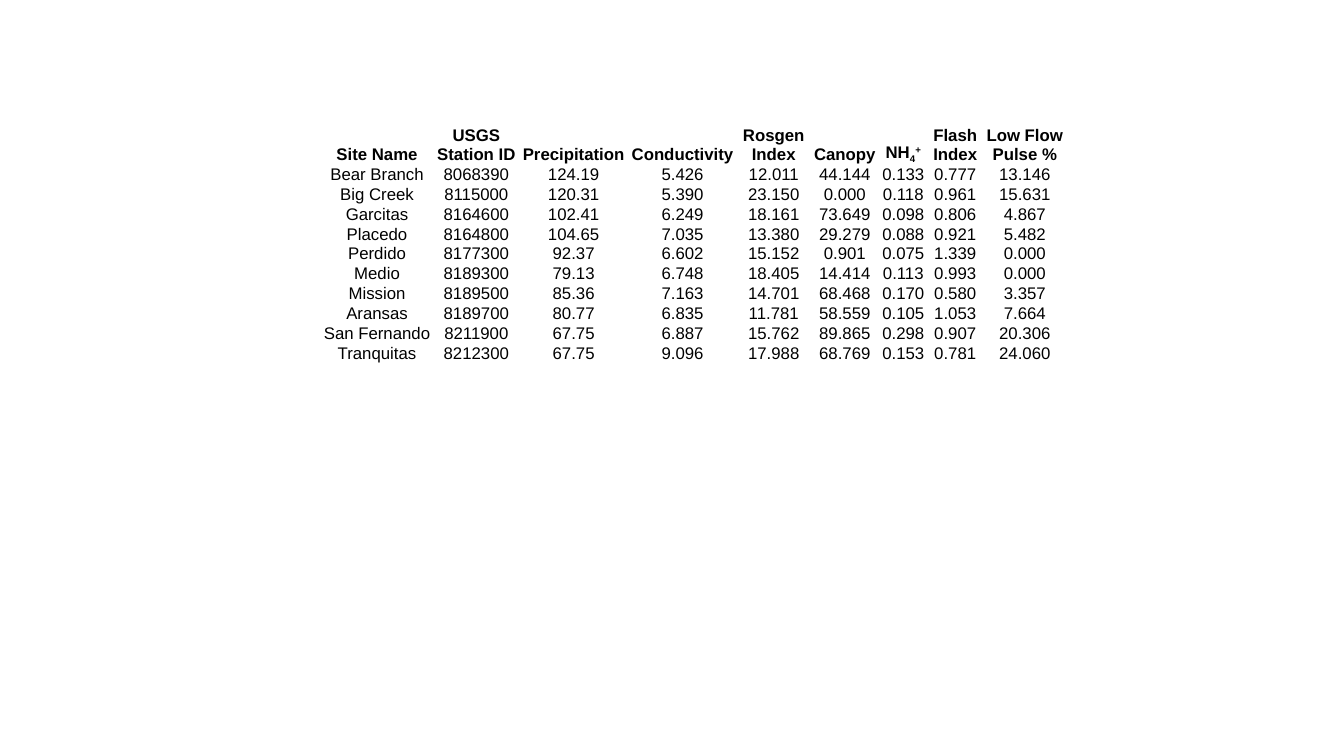
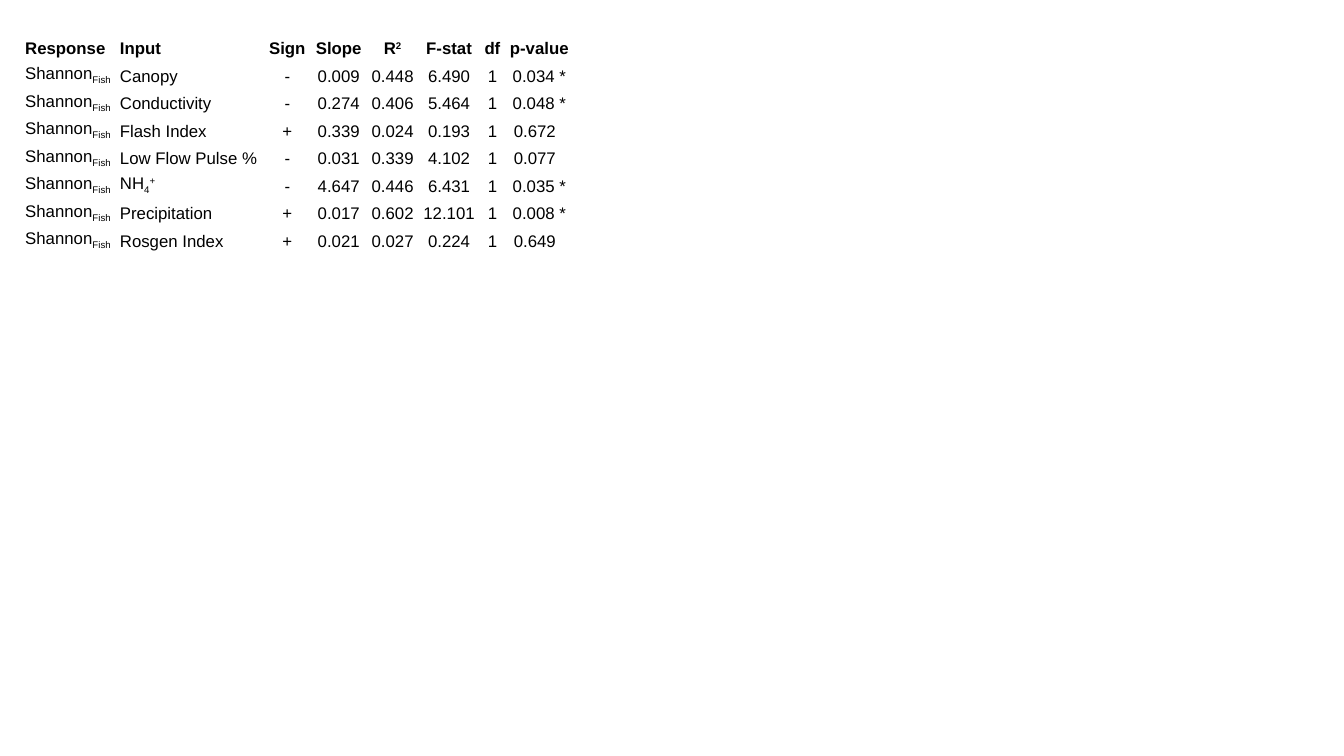
import pptx
import pptx.dml.color
import pptx.enum.text
import pptx.util

Inches = pptx.util.Inches
ALIGN = pptx.enum.text.PP_ALIGN

THEME = {
    "font": {"name": "Arial", "size": pptx.util.Pt(12)},
    "ink": pptx.dml.color.RGBColor(0, 0, 0),
    "cell": {
        "margin_left": Inches(0.01),
        "margin_right": Inches(0.01),
        "margin_top": Inches(0.01),
        "margin_bottom": 0,
        "vertical_anchor": pptx.enum.text.MSO_ANCHOR.BOTTOM,
    },
    "plain": "{2D5ABB26-0587-4C30-8999-92F81FD0307C}",
    "base": {"_": "-25000", "^": "30000"},
}

SITES = [
    ["Site Name", "USGS\nStation ID", "Precipitation", "Conductivity",
     "Rosgen\nIndex", "Canopy", "NH|_4|^+", "Flash\nIndex", "Low Flow\nPulse %"],
    ["Bear Branch", "8068390", "124.19", "5.426", "12.011", "44.144", "0.133", "0.777", "13.146"],
    ["Big Creek", "8115000", "120.31", "5.390", "23.150", "0.000", "0.118", "0.961", "15.631"],
    ["Garcitas", "8164600", "102.41", "6.249", "18.161", "73.649", "0.098", "0.806", "4.867"],
    ["Placedo", "8164800", "104.65", "7.035", "13.380", "29.279", "0.088", "0.921", "5.482"],
    ["Perdido", "8177300", "92.37", "6.602", "15.152", "0.901", "0.075", "1.339", "0.000"],
    ["Medio", "8189300", "79.13", "6.748", "18.405", "14.414", "0.113", "0.993", "0.000"],
    ["Mission", "8189500", "85.36", "7.163", "14.701", "68.468", "0.170", "0.580", "3.357"],
    ["Aransas", "8189700", "80.77", "6.835", "11.781", "58.559", "0.105", "1.053", "7.664"],
    ["San Fernando", "8211900", "67.75", "6.887", "15.762", "89.865", "0.298", "0.907", "20.306"],
    ["Tranquitas", "8212300", "67.75", "9.096", "17.988", "68.769", "0.153", "0.781", "24.060"],
]

FITS = [
    ["Canopy", "-", "0.009", "0.448", "6.490", "1", "0.034 *"],
    ["Conductivity", "-", "0.274", "0.406", "5.464", "1", "0.048 *"],
    ["Flash Index", "+", "0.339", "0.024", "0.193", "1", "0.672"],
    ["Low Flow Pulse %", "-", "0.031", "0.339", "4.102", "1", "0.077"],
    ["NH|_4|^+", "-", "4.647", "0.446", "6.431", "1", "0.035 *"],
    ["Precipitation", "+", "0.017", "0.602", "12.101", "1", "0.008 *"],
    ["Rosgen Index", "+", "0.021", "0.027", "0.224", "1", "0.649"],
]
MODELS = [["Response", "Input", "Sign", "Slope", "R|^2", "F-stat", "df", "p-value"]]
MODELS += [["Shannon|_Fish"] + fit for fit in FITS]


def write(cell, text, align, bold):
    """Fill a cell; a part after | that starts with _ or ^ is lowered or raised."""
    cell.fill.background()
    for key, value in THEME["cell"].items():
        setattr(cell, key, value)
    for i, line in enumerate(text.split("\n")):
        frame = cell.text_frame
        para = frame.add_paragraph() if i else frame.paragraphs[0]
        para.alignment = align
        for n, part in enumerate(line.split("|")):
            run = para.add_run()
            run.text = part[1:] if n else part
            for key, value in THEME["font"].items():
                setattr(run.font, key, value)
            run.font.bold = bold
            run.font.color.rgb = THEME["ink"]
            if n:
                run._r.get_or_add_rPr().set("baseline", THEME["base"][part[0]])


def draw(slide, rows, left, top, widths, head, body, lefts=0):
    """Add a table with a head row, equal body rows and some left-aligned columns."""
    table = slide.shapes.add_table(
        len(rows), len(widths), Inches(left), Inches(top),
        Inches(sum(widths)), Inches(head + body)).table
    table.first_row = table.horz_banding = False
    table._tbl.tblPr[0].text = THEME["plain"]
    for col, width in zip(table.columns, widths):
        col.width = Inches(width)
    for r, row in enumerate(rows):
        table.rows[r].height = Inches(body / (len(rows) - 1) if r else head)
        for c, text in enumerate(row):
            align = ALIGN.LEFT if c < lefts else ALIGN.CENTER
            write(table.cell(r, c), text, align, r == 0)
    return table


deck = pptx.Presentation()
deck.slide_width, deck.slide_height = Inches(13.33), Inches(7.5)
blank = deck.slide_layouts[6]

draw(deck.slides.add_slide(blank), SITES, 3.18, 1.24,
     [1.12, 0.85, 1.08, 1.08, 0.73, 0.68, 0.48, 0.55, 0.83], 0.39, 1.97)

table = draw(deck.slides.add_slide(blank), MODELS, 0.24, 0.32,
             [0.94, 1.44, 0.46, 0.56, 0.51, 0.61, 0.25, 0.68], 0.26, 1.91, lefts=2)

# Values without a star leave room for it, so the digits line up
for r, row in enumerate(MODELS[1:], 1):
    if not row[-1].endswith("*"):
        table.cell(r, len(row) - 1).margin_right = Inches(0.1)

deck.save("out.pptx")
